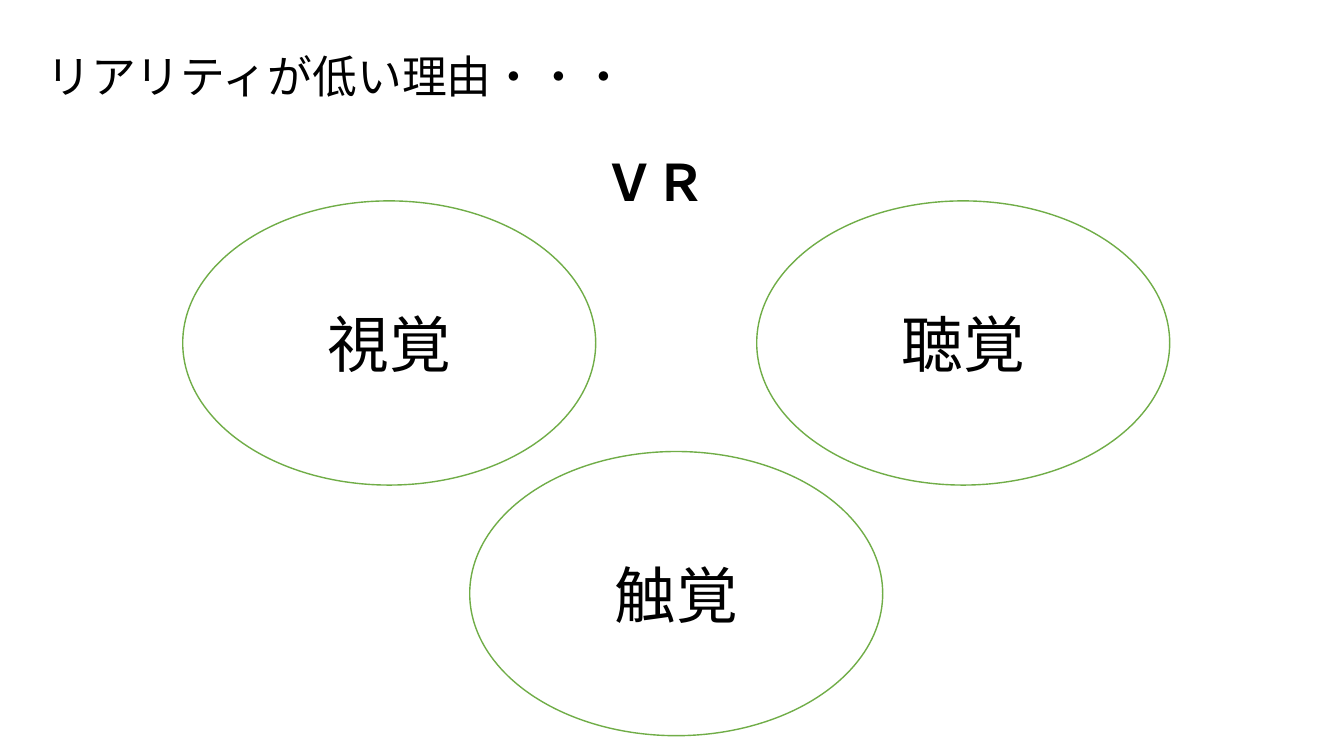
from lxml import etree
from pptx import Presentation
from pptx import util as u
from pptx.dml.color import RGBColor
from pptx.enum import shapes, text
from pptx.oxml import ns


def color(code):
    return RGBColor.from_string(code)


def write(frame, words, size, font, ink, bold=False, align=text.PP_ALIGN.LEFT):
    para = frame.paragraphs[0]
    para.alignment = align
    run = para.add_run()
    run.text = words
    run.font.size = u.Pt(size)
    run.font.bold = bold
    run.font.color.rgb = color(ink)
    run.font.name = font
    # Japanese glyphs take the East Asian font
    east = etree.SubElement(run._r.get_or_add_rPr(), ns.qn("a:ea"))
    east.set("typeface", font)


class Deck:
    font = "Noto Sans CJK JP"
    ink = "000000"
    paper = "FFFFFF"
    green = "70AD47"

    def __init__(self, wide, high):
        self.show = Presentation()
        self.show.slide_width = u.Pt(wide)
        self.show.slide_height = u.Pt(high)
        self.slide = self.show.slides.add_slide(self.show.slide_layouts[6])

    def label(self, words, left, top, wide, high, size, bold=False):
        box = self.slide.shapes.add_textbox(
            u.Pt(left), u.Pt(top), u.Pt(wide), u.Pt(high))
        frame = box.text_frame
        frame.word_wrap = False
        frame.auto_size = text.MSO_AUTO_SIZE.SHAPE_TO_FIT_TEXT
        write(frame, words, size, self.font, self.ink, bold=bold)

    def oval(self, words, left, top, wide, high, size):
        oval = self.slide.shapes.add_shape(
            shapes.MSO_SHAPE.OVAL,
            u.Pt(left), u.Pt(top), u.Pt(wide), u.Pt(high))
        oval.shadow.inherit = False
        oval.fill.solid()
        oval.fill.fore_color.rgb = color(self.paper)
        oval.line.color.rgb = color(self.green)
        oval.line.width = u.Pt(1)
        frame = oval.text_frame
        frame.word_wrap = True
        frame.vertical_anchor = text.MSO_ANCHOR.MIDDLE
        write(frame, words, size, self.font, self.ink,
              align=text.PP_ALIGN.CENTER)


def main():
    deck = Deck(960, 540)

    # Headings
    deck.label("リアリティが低い理由・・・", 26, 31.5, 435, 46, 32)
    deck.label("ＶＲ", 425, 104.5, 87, 51, 36, bold=True)

    # Senses: two above, one centred below
    left, step, top, drop = 130.5, 205, 143.5, 179
    for sense, col, row in (("聴覚", 2, 0), ("視覚", 0, 0), ("触覚", 1, 1)):
        deck.oval(sense, left + col * step, top + row * drop, 295, 203, 44)

    deck.show.save("out.pptx")


if __name__ == "__main__":
    main()
